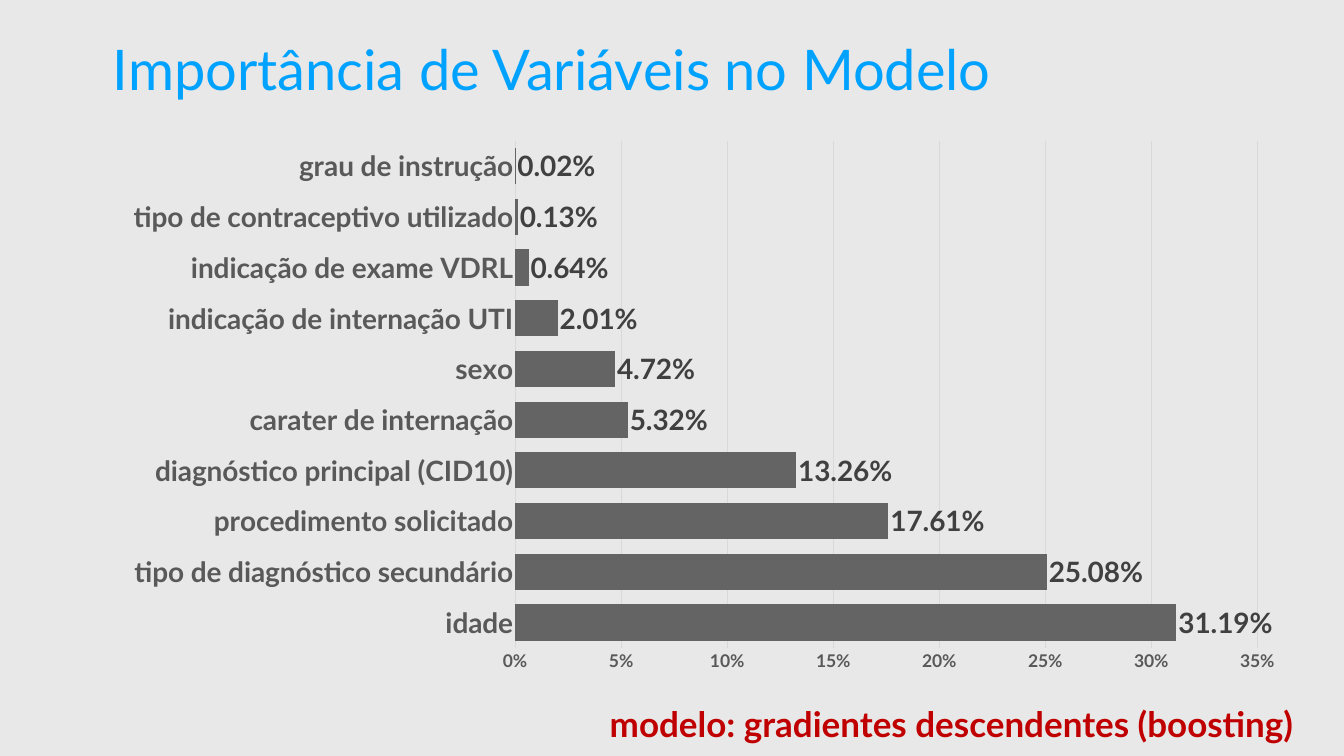
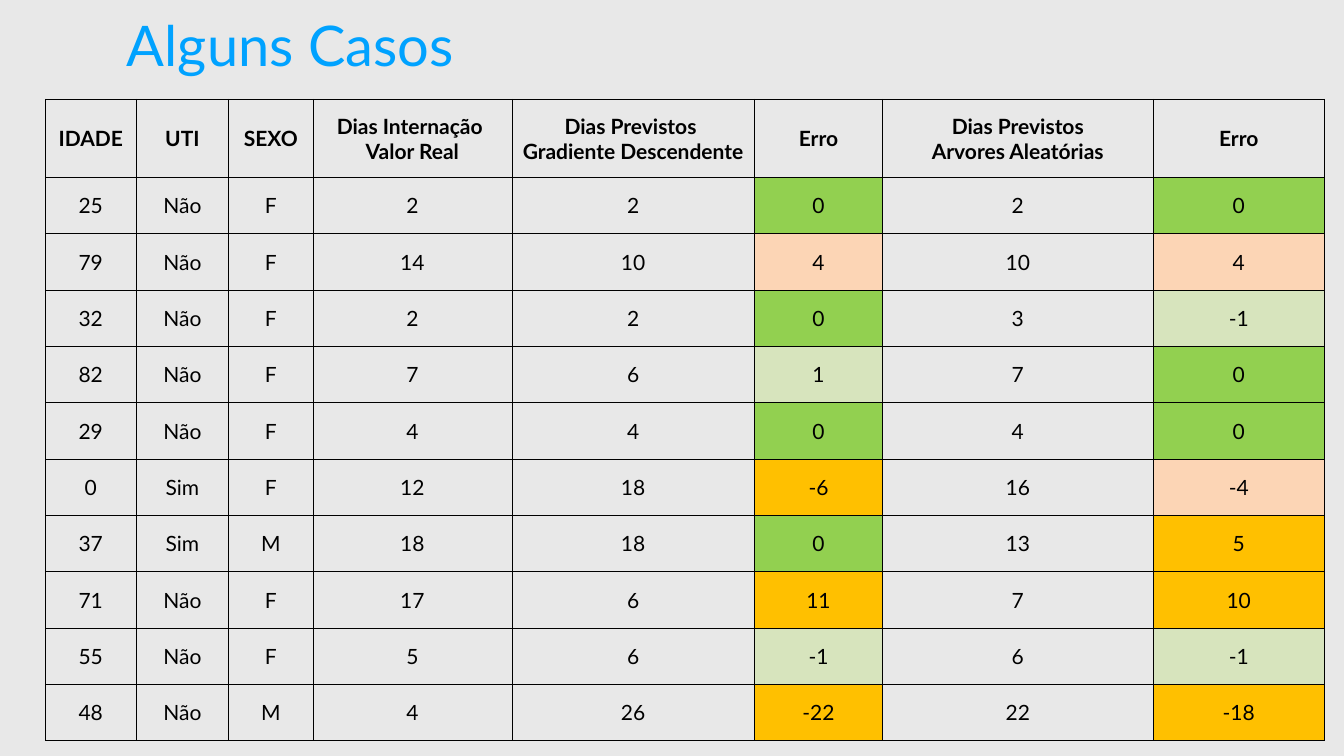
from dataclasses import dataclass

from lxml.etree import SubElement
from pptx import Presentation
from pptx.chart.data import CategoryChartData
from pptx.dml.color import RGBColor
from pptx.enum.chart import XL_CHART_TYPE, XL_LABEL_POSITION, XL_TICK_MARK
from pptx.enum.shapes import MSO_SHAPE
from pptx.enum.text import MSO_ANCHOR, PP_ALIGN
from pptx.oxml import parse_xml
from pptx.oxml.ns import nsdecls, qn
from pptx.util import Cm, Pt


# Theme
@dataclass(frozen=True)
class Theme:
    font: str = "Lato"
    chart_font: str = "Arial"
    background: str = "E8E8E8"
    title: str = "00A2FF"
    caption: str = "C00000"
    text: str = "000000"
    axis_text: str = "595959"
    label_text: str = "404040"
    grid: str = "D9D9D9"
    bar: str = "646464"
    exact: str = "92D050"
    close: str = "D7E4BD"
    moderate: str = "FCD5B5"
    far: str = "FFC000"
    title_size: int = 80
    caption_size: int = 50
    label_size: int = 40
    scale_size: int = 25
    table_size: int = 30
    chart_size: int = 10


THEME = Theme()


@dataclass(frozen=True)
class Box:
    left: float
    top: float
    width: float
    height: float

    def lengths(self) -> tuple:
        return Cm(self.left), Cm(self.top), Cm(self.width), Cm(self.height)


@dataclass(frozen=True)
class TextStyle:
    size: int
    color: str
    bold: bool = False
    align: PP_ALIGN = PP_ALIGN.LEFT
    anchor: MSO_ANCHOR = MSO_ANCHOR.TOP
    inset_x: float = 0.25
    inset_y: float = 0.13


@dataclass(frozen=True)
class Case:
    age: int
    icu: str
    sex: str
    actual: int
    boosting: int
    forest: int

    def values(self) -> list:
        return [self.age, self.icu, self.sex, self.actual,
                self.boosting, self.actual - self.boosting,
                self.forest, self.actual - self.forest]


TITLE = TextStyle(THEME.title_size, THEME.title, anchor=MSO_ANCHOR.MIDDLE,
                  inset_x=0.15, inset_y=0.15)
CAPTION = TextStyle(THEME.caption_size, THEME.caption, bold=True, align=PP_ALIGN.RIGHT)


# Shared helpers
def rgb(color: str) -> RGBColor:
    return RGBColor.from_string(color)


def set_fill(fill, color: str) -> None:
    fill.solid()
    fill.fore_color.rgb = rgb(color)


def set_font(font, size: int, color: str, bold: bool = False, name: str = THEME.font) -> None:
    font.name = name
    font.size = Pt(size)
    font.bold = bold
    font.color.rgb = rgb(color)


def format_text(tf, size: int, color: str, bold: bool, align: PP_ALIGN) -> None:
    for p in tf.paragraphs:
        p.alignment = align
        for r in p.runs:
            set_font(r.font, size, color, bold)


def add_text(s, text: str, box: Box, style: TextStyle) -> None:
    tf = s.shapes.add_textbox(*box.lengths()).text_frame
    tf.word_wrap = True
    tf.vertical_anchor = style.anchor
    tf.margin_left = tf.margin_right = Cm(style.inset_x)
    tf.margin_top = tf.margin_bottom = Cm(style.inset_y)
    tf.text = text
    format_text(tf, style.size, style.color, style.bold, style.align)


def add_master_panel(prs, s, box: Box) -> None:
    """Draw the panel on a slide, then move it behind everything on the master."""
    sp = s.shapes.add_shape(MSO_SHAPE.RECTANGLE, *box.lengths())
    sp.shadow.inherit = False
    set_fill(sp.fill, THEME.background)
    sp.line.fill.background()
    prs.slide_master.shapes._spTree.insert(2, sp._element)


# Chart
def set_plot_layout(chart, box: Box, plot: Box) -> None:
    plot_area = chart.plots[0]._element.getparent()
    for old in plot_area.findall(qn("c:layout")):
        plot_area.remove(old)
    layout = parse_xml(f"<c:layout {nsdecls('c')}/>")
    manual = SubElement(layout, qn("c:manualLayout"))
    settings = {"layoutTarget": "inner", "xMode": "edge", "yMode": "edge",
                "x": (plot.left - box.left) / box.width,
                "y": (plot.top - box.top) / box.height,
                "w": plot.width / box.width, "h": plot.height / box.height}
    for tag, value in settings.items():
        SubElement(manual, qn(f"c:{tag}")).set("val", str(value))
    plot_area.insert(0, layout)


def add_importance_chart(s, importance: dict, box: Box, plot_box: Box) -> None:
    data = CategoryChartData(number_format="0.00%")
    data.categories = list(importance)
    data.add_series("Series 1", list(importance.values()))
    chart = s.shapes.add_chart(XL_CHART_TYPE.BAR_CLUSTERED, *box.lengths(), data).chart
    chart.has_legend = False
    chart.has_title = False
    set_font(chart.font, THEME.chart_size, THEME.text, name=THEME.chart_font)
    set_plot_layout(chart, box, plot_box)

    # Bars and their values
    plot = chart.plots[0]
    plot.gap_width = 40
    plot.vary_by_categories = False
    set_fill(plot.series[0].format.fill, THEME.bar)
    labels = plot.series[0].data_labels
    labels.show_value = True
    labels.number_format = "0.00%"
    labels.number_format_is_linked = False
    labels.position = XL_LABEL_POSITION.OUTSIDE_END
    set_font(labels.font, THEME.label_size, THEME.label_text, True)

    # Axes
    names, scale = chart.category_axis, chart.value_axis
    for axis, size in ((names, THEME.label_size), (scale, THEME.scale_size)):
        axis.major_tick_mark = axis.minor_tick_mark = XL_TICK_MARK.NONE
        set_font(axis.tick_labels.font, size, THEME.axis_text, True)
    scale.minimum_scale, scale.maximum_scale, scale.major_unit = 0, 0.35, 0.05
    scale.tick_labels.number_format = "0%"
    scale.tick_labels.number_format_is_linked = False
    scale.format.line.fill.background()
    scale.has_major_gridlines = True
    for line in (names.format.line, scale.major_gridlines.format.line):
        line.color.rgb = rgb(THEME.grid)
        line.width = Pt(0.75)


# Table
def error_color(error: int) -> str:
    size = abs(error)
    if size == 0:
        return THEME.exact
    if size == 1:
        return THEME.close
    return THEME.moderate if size < 5 else THEME.far


def set_borders(cell) -> None:
    tc_pr = cell._tc.get_or_add_tcPr()
    for side in ("lnL", "lnR", "lnT", "lnB"):
        line = SubElement(tc_pr, qn(f"a:{side}"), w=str(Pt(1)))
        solid = SubElement(line, qn("a:solidFill"))
        SubElement(solid, qn("a:srgbClr"), val=THEME.text)


def format_cell(cell, text: str, bold: bool, color: str | None) -> None:
    cell.text = text
    cell.vertical_anchor = MSO_ANCHOR.MIDDLE
    cell.margin_left = cell.margin_right = cell.margin_top = Cm(0.03)
    cell.margin_bottom = 0
    format_text(cell.text_frame, THEME.table_size, THEME.text, bold, PP_ALIGN.CENTER)
    set_borders(cell)
    if color:
        set_fill(cell.fill, color)
    else:
        cell.fill.background()


def add_case_table(s, columns: list, cases: list[Case], left: float, top: float,
                   header_height: float, row_height: float) -> None:
    headers = [header for header, _ in columns]
    widths = [width for _, width in columns]
    box = Box(left, top, sum(widths), header_height + row_height * len(cases))
    table = s.shapes.add_table(len(cases) + 1, len(columns), *box.lengths()).table
    table.first_row = table.horz_banding = False
    for column, width in zip(table.columns, widths):
        column.width = Cm(width)
    for i, row in enumerate(table.rows):
        row.height = Cm(row_height if i else header_height)
    for j, header in enumerate(headers):
        format_cell(table.cell(0, j), header, True, None)
    for i, case in enumerate(cases, start=1):
        for j, value in enumerate(case.values()):
            color = error_color(value) if headers[j] == "Erro" else None
            format_cell(table.cell(i, j), str(value), False, color)


# Content
IMPORTANCE = {
    "idade": 0.3119,
    "tipo de diagnóstico secundário": 0.2508,
    "procedimento solicitado": 0.1761,
    "diagnóstico principal (CID10)": 0.1326,
    "carater de internação": 0.0532,
    "sexo": 0.0472,
    "indicação de internação UTI": 0.0201,
    "indicação de exame VDRL": 0.0064,
    "tipo de contraceptivo utilizado": 0.0013,
    "grau de instrução": 0.0002,
}

COLUMNS = [
    ("IDADE", 4.57),
    ("UTI", 4.67),
    ("SEXO", 4.24),
    ("Dias Internação \nValor Real", 10.03),
    ("Dias Previstos \nGradiente Descendente", 12.22),
    ("Erro", 6.47),
    ("Dias Previstos\nArvores Aleatórias", 13.62),
    ("Erro", 8.65),
]

CASES = [
    Case(25, "Não", "F", 2, 2, 2),
    Case(79, "Não", "F", 14, 10, 10),
    Case(32, "Não", "F", 2, 2, 3),
    Case(82, "Não", "F", 7, 6, 7),
    Case(29, "Não", "F", 4, 4, 4),
    Case(0, "Sim", "F", 12, 18, 16),
    Case(37, "Sim", "M", 18, 18, 13),
    Case(71, "Não", "F", 17, 6, 7),
    Case(55, "Não", "F", 5, 6, 6),
    Case(48, "Não", "M", 4, 26, 22),
]

prs = Presentation()
prs.slide_width, prs.slide_height = Cm(67.74), Cm(38.1)
blank = prs.slide_layouts[6]

# Slide 1: variable importance, and the panel shared through the master
s = prs.slides.add_slide(blank)
add_master_panel(prs, s, Box(-0.13, -0.1, 69.7, 38.76))
add_text(s, "Importância de Variáveis no Modelo", Box(5.54, 1.6, 49.66, 3.66), TITLE)
add_text(s, "modelo: gradientes descendentes (boosting)",
         Box(24.46, 35.28, 41, 2.82), CAPTION)
add_importance_chart(s, IMPORTANCE, Box(5.54, 6.55, 59.92, 27.84),
                     plot_box=Box(25.96, 7.1, 37.41, 25.55))

# Slide 2: sample cases
s = prs.slides.add_slide(blank)
add_text(s, "Alguns Casos", Box(6.25, 0.69, 39.65, 3.07), TITLE)
add_case_table(s, COLUMNS, CASES, left=2.29, top=5, header_height=3.93, row_height=2.84)

prs.save("out.pptx")
